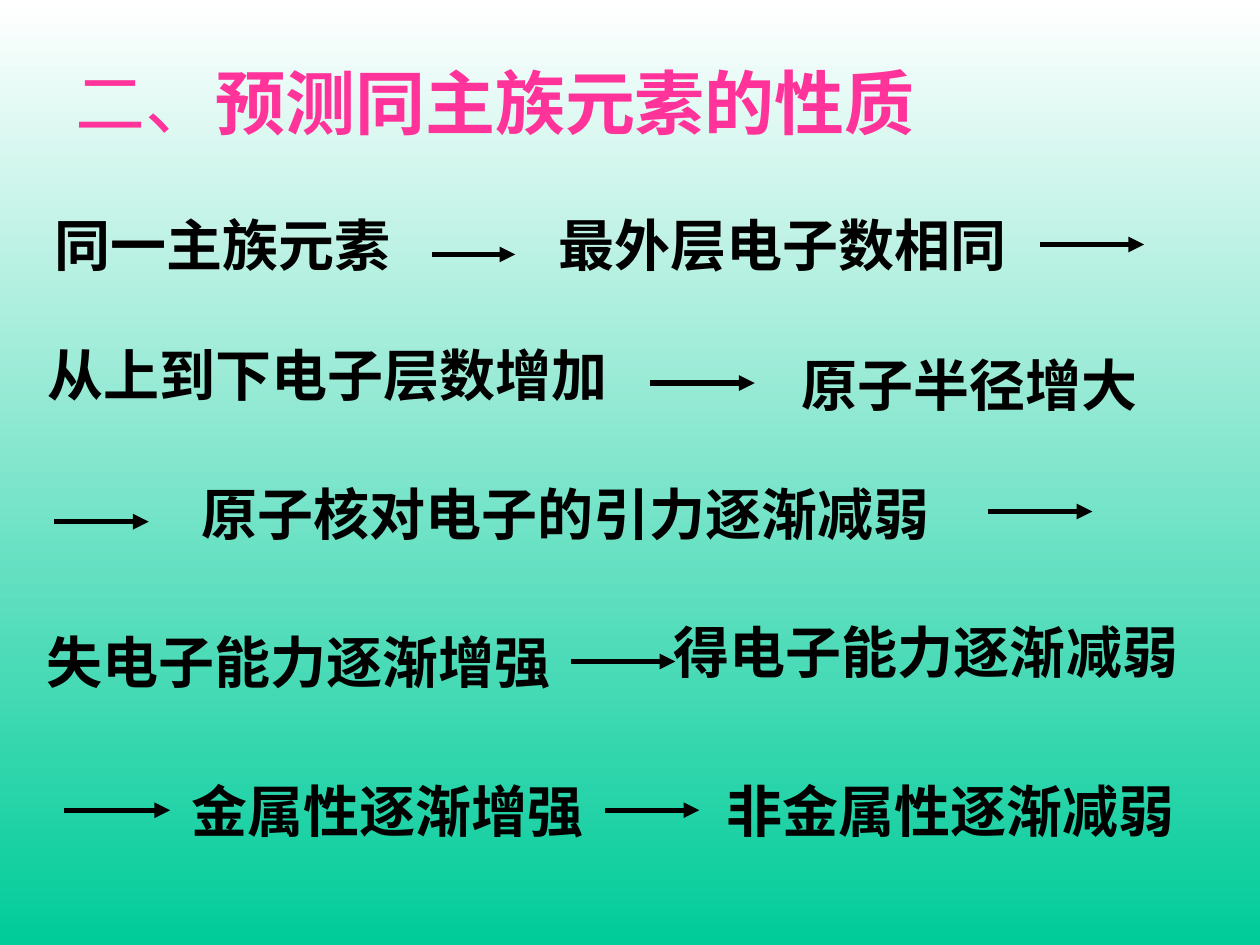
from lxml import etree
from pptx import Presentation
from pptx import util as u
from pptx.dml.color import RGBColor
from pptx.enum import shapes, text
from pptx.oxml.ns import qn

Pt = u.Pt
CJK = "Noto Sans CJK JP"
TITLE = dict(size=Pt(40), name=CJK)
BODY = dict(size=Pt(32), name="Times New Roman", bold=True)
FRAME = dict(word_wrap=True, auto_size=text.MSO_AUTO_SIZE.NONE,
             vertical_anchor=text.MSO_ANCHOR.MIDDLE,
             margin_left=Pt(7.2), margin_right=Pt(7.2),
             margin_top=Pt(3.6), margin_bottom=Pt(3.6))
ROW_H = 46

# Row top, then phrases (text, x, dy, width) and arrows (x1, x2, dy)
ROWS = [
    (116.6, [("同一主族元素", 23.8, 0, 222), ("最外层电子数相同", 311.8, 0, 282)],
     [(247, 294.5, 28.8), (594, 653.8, 23.1)]),
    (190.8, [("从上到下电子层数增加", 20.2, 0, 354), ("原子半径增大", 450.7, 5.8, 222)],
     [(371.5, 431.3, 28.1)]),
    (270, [("原子核对电子的引力逐渐减弱", 108, 0, 438)],
     [(31, 85, 28.1), (564.5, 624.2, 22.3)]),
    (349.2, [("失电子能力逐渐增强", 19.4, 5.8, 324), ("得电子能力逐渐减弱", 378, 0, 318)],
     [(326.2, 385.9, 28.8)]),
    (439.9, [("金属性逐渐增强", 102.2, 0, 246), ("非金属性逐渐减弱", 408.2, 0, 292)],
     [(36.7, 97.2, 23.1), (345.6, 399.6, 23.1)]),
]


def rgb(value):
    return RGBColor.from_string(value)


def apply(target, values):
    for key, value in values.items():
        setattr(target, key, value)


def add_run(p, words, color, values):
    r = p.add_run()
    r.text = words
    apply(r.font, values)
    r.font.color.rgb = rgb(color)
    etree.SubElement(r.font._element, qn("a:ea"), typeface=CJK)


def paint_background(slide):
    fill = slide.background.fill
    fill.gradient()
    fill.gradient_angle = 270
    for stop, color in zip(fill.gradient_stops, ("FFFFFF", "00CC99")):
        stop.color.rgb = rgb(color)


def set_title(slide, x, y, w, h):
    sp = slide.shapes.title
    apply(sp, dict(left=Pt(x), top=Pt(y), width=Pt(w), height=Pt(h)))
    tf = sp.text_frame
    apply(tf, FRAME)
    p = tf.paragraphs[0]
    p.alignment = text.PP_ALIGN.LEFT
    for words, bold in (("二、", False), ("预测同主族元素的性质", True)):
        add_run(p, words, "FF3399", dict(TITLE, bold=bold))


def add_phrase(slide, words, x, y, w, h):
    tf = slide.shapes.add_textbox(Pt(x), Pt(y), Pt(w), Pt(h)).text_frame
    apply(tf, FRAME)
    add_run(tf.paragraphs[0], words, "000000", BODY)


def add_arrow(slide, x1, x2, y):
    line = slide.shapes.add_connector(
        shapes.MSO_CONNECTOR.STRAIGHT, Pt(x1), Pt(y), Pt(x2), Pt(y))
    line.line.width = Pt(3)
    line.line.color.rgb = rgb("000000")
    etree.SubElement(line.line._get_or_add_ln(), qn("a:tailEnd"), type="triangle")
    etree.SubElement(line._element.spPr, qn("a:effectLst"))


def add_row(slide, top, phrases, arrows):
    for words, x, dy, w in phrases:
        add_phrase(slide, words, x, top + dy, w, ROW_H)
    for x1, x2, dy in arrows:
        add_arrow(slide, x1, x2, top + dy)


def main():
    prs = Presentation()
    prs.slide_width, prs.slide_height = Pt(720), Pt(540)
    slide = prs.slides.add_slide(prs.slide_layouts[5])
    paint_background(slide)
    set_title(slide, 36, 30.2, 562, 55.4)
    # Chain of reasoning, row by row
    for row in ROWS:
        add_row(slide, *row)
    prs.save("out.pptx")


if __name__ == "__main__":
    main()
